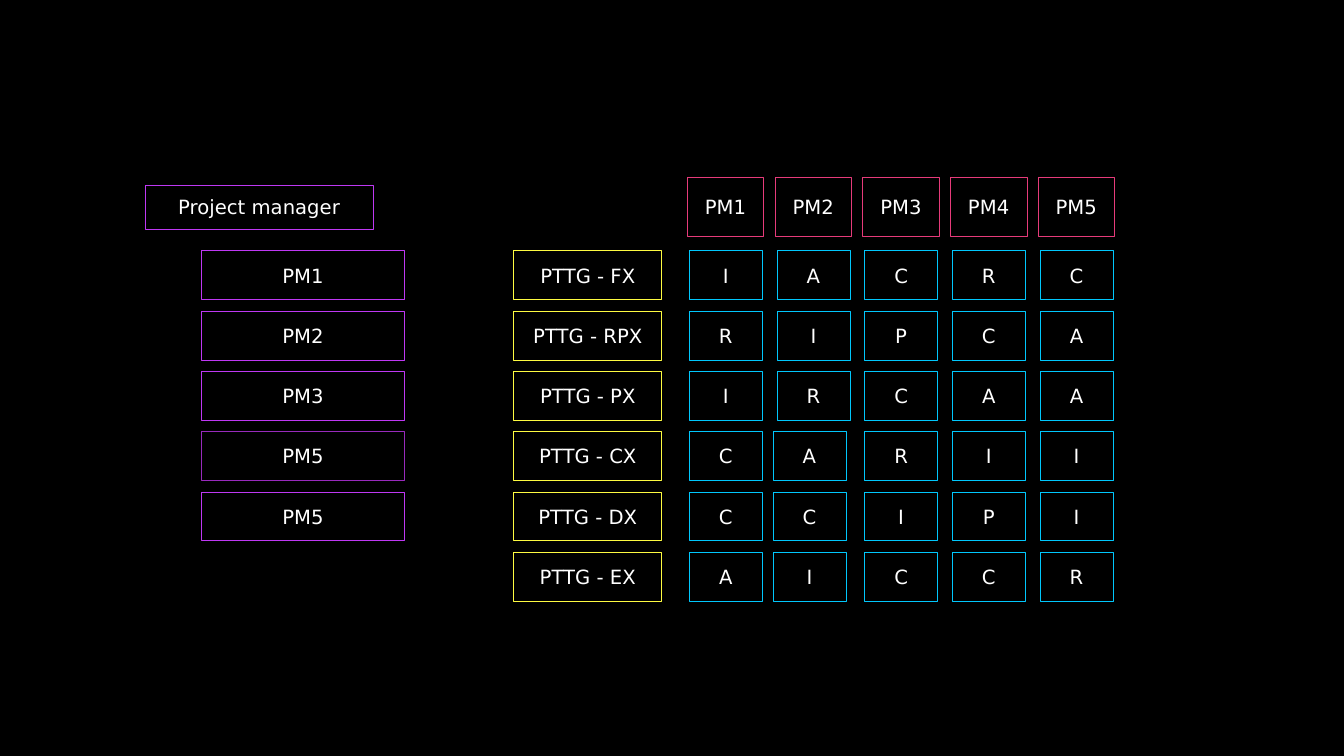
from pptx import Presentation
from pptx import util as u
from pptx.dml import color
from pptx.enum import shapes, text

HEADING = "Project manager"
MANAGERS = ["PM1", "PM2", "PM3", "PM5", "PM5"]
COLUMNS = ["PM1", "PM2", "PM3", "PM4", "PM5"]
PROJECTS = [
    ("PTTG - FX", "IACRC"),
    ("PTTG - RPX", "RIPCA"),
    ("PTTG - PX", "IRCAA"),
    ("PTTG - CX", "CARII"),
    ("PTTG - DX", "CCIPI"),
    ("PTTG - EX", "AICCR"),
]

FONT = "DejaVu Sans"
BLACK, WHITE = "000000", "FFFFFF"
PURPLE, DARK_PURPLE = "BE38F3", "982ABC"
PINK, YELLOW, BLUE = "E63B7A", "FEFB41", "01C7FC"

ROW_TOP, ROW_STEP, ROW_HEIGHT = 6.32, 1.52, 1.23
CELL_LEFT, CELL_STEP, CELL_WIDTH = 17.37, 2.21, 1.84
HEADER_LEFT = 17.32
NUDGE = 0.1


def rgb(value):
    return color.RGBColor.from_string(value)


def write(sp, words, size=14, font=FONT, ink=WHITE):
    tf = sp.text_frame
    tf.auto_size = text.MSO_AUTO_SIZE.NONE
    tf.word_wrap = True
    tf.vertical_anchor = text.MSO_ANCHOR.MIDDLE
    tf.margin_left = tf.margin_right = tf.margin_top = tf.margin_bottom = 0
    p = tf.paragraphs[0]
    p.alignment = text.PP_ALIGN.CENTER
    r = p.add_run()
    r.text = words
    r.font.size = u.Pt(size)
    r.font.name = font
    r.font.color.rgb = rgb(ink)


def box(s, words, left, top, width, height, line, sp=None):
    area = [u.Cm(n) for n in (left, top, width, height)]
    if sp is None:
        sp = s.shapes.add_shape(shapes.MSO_SHAPE.RECTANGLE, *area)
        sp.shadow.inherit = False
    else:
        sp.left, sp.top, sp.width, sp.height = area
    sp.fill.solid()
    sp.fill.fore_color.rgb = rgb(BLACK)
    sp.line.color.rgb = rgb(line)
    sp.line.width = u.Pt(0.5)
    write(sp, words)


def main():
    prs = Presentation()
    prs.slide_width, prs.slide_height = u.Cm(33.87), u.Cm(19.05)
    s = prs.slides.add_slide(prs.slide_layouts[5])
    s.background.fill.solid()
    s.background.fill.fore_color.rgb = rgb(BLACK)

    box(s, HEADING, 3.66, 4.67, 5.74, 1.1, PURPLE, sp=s.shapes.title)

    for row, name in enumerate(MANAGERS):
        line = DARK_PURPLE if row == 3 else PURPLE
        box(s, name, 5.08, ROW_TOP + row * ROW_STEP, 5.11, ROW_HEIGHT, line)

    for col, name in enumerate(COLUMNS):
        box(s, name, HEADER_LEFT + col * CELL_STEP, 4.47, 1.93, 1.5, PINK)

    for row, (project, roles) in enumerate(PROJECTS):
        top = ROW_TOP + row * ROW_STEP
        box(s, project, 12.95, top, 3.73, ROW_HEIGHT, YELLOW)
        for col, role in enumerate(roles):
            left = CELL_LEFT + col * CELL_STEP
            if col == 1 and row >= 3:
                left -= NUDGE
            box(s, role, left, top, CELL_WIDTH, ROW_HEIGHT, BLUE)

    prs.save("out.pptx")


if __name__ == "__main__":
    main()
